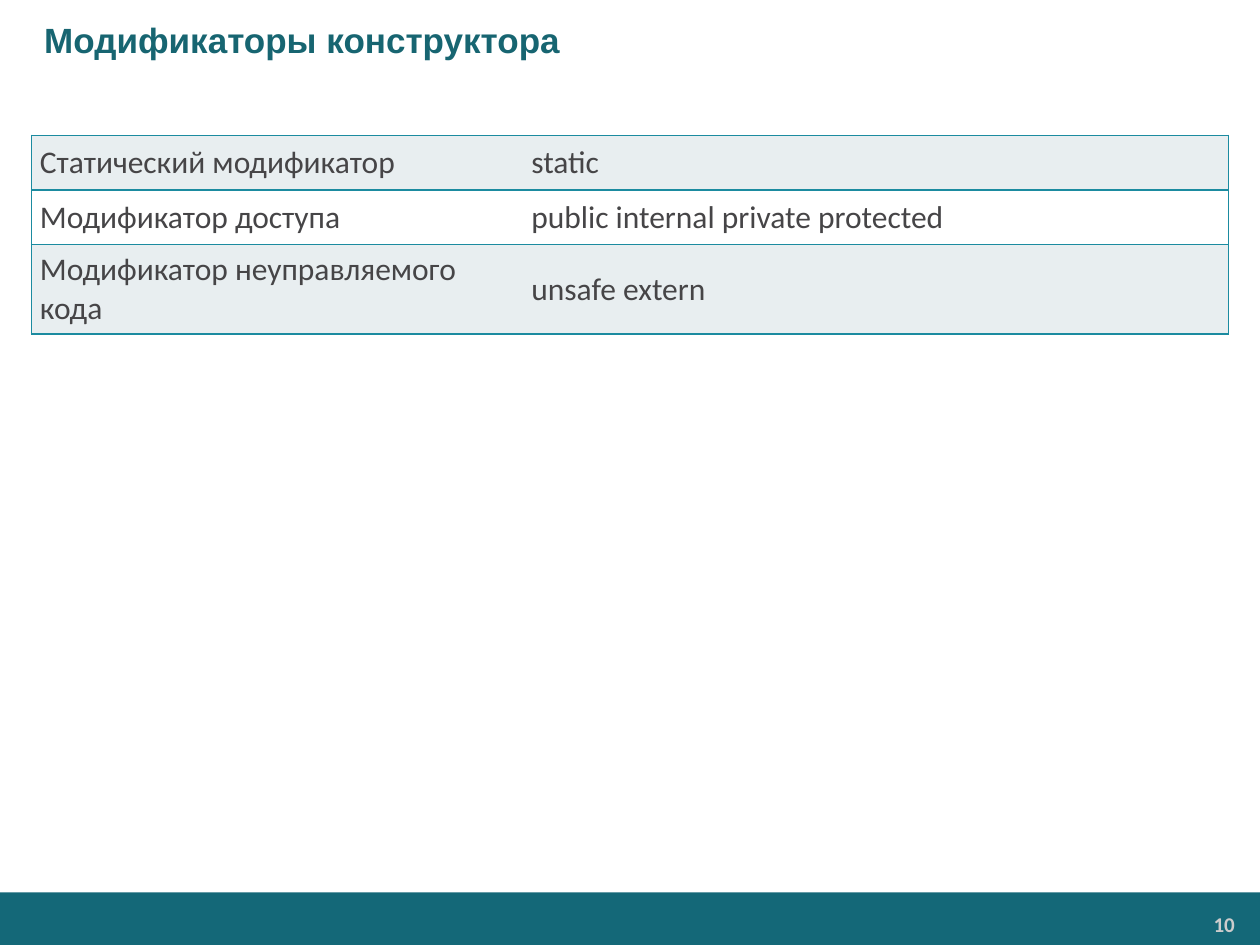
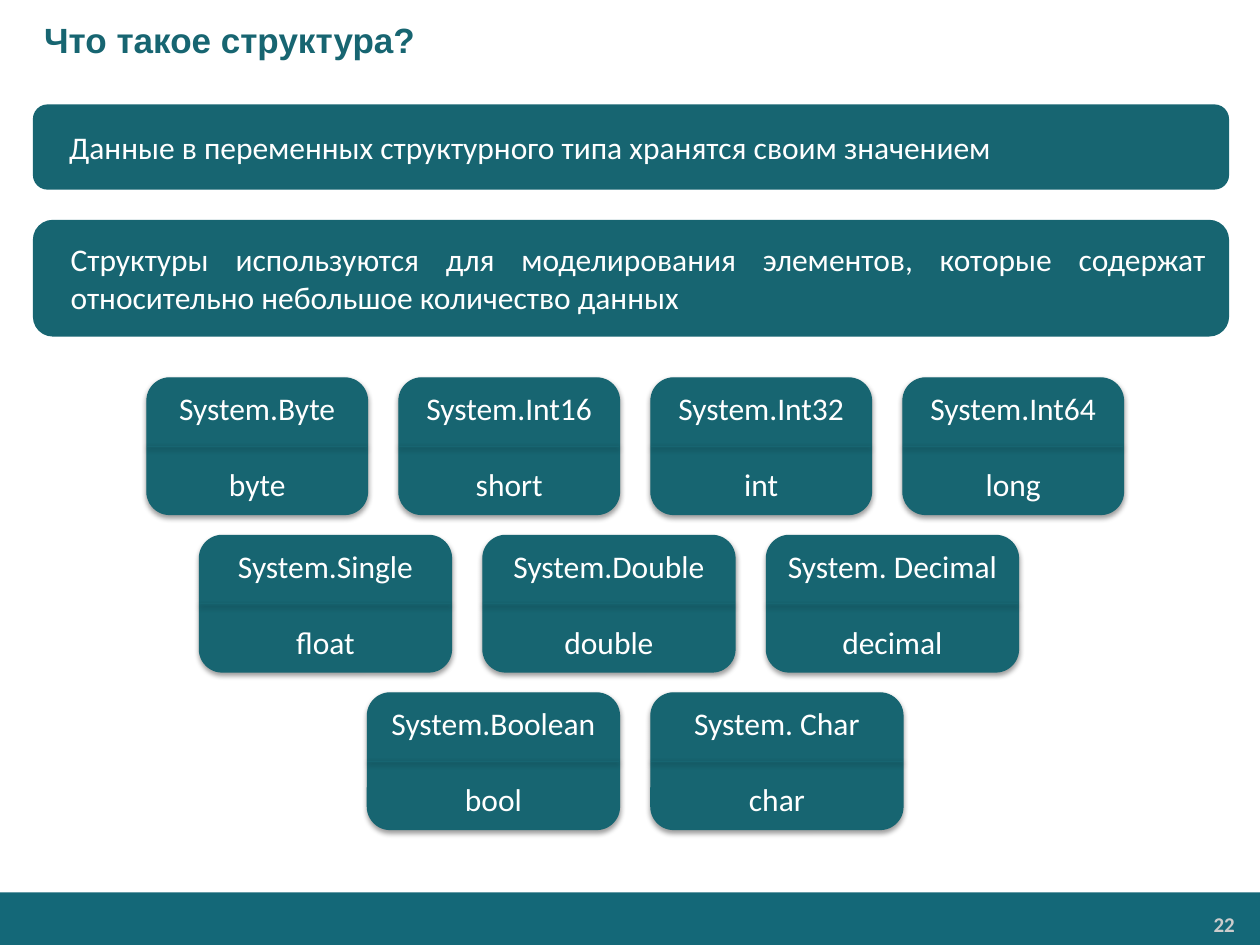
from lxml import etree
from pptx import Presentation
from pptx.dml.color import RGBColor
from pptx.enum import shapes, text
from pptx.oxml import ns
from pptx import util as u

EMU_PER_PX = 7620
TEAL, BAND, BORDER = "176571", "146878", "1B8BA0"
WHITE, STRIPE, INK, NUMBER = "FFFFFF", "E8EEF0", "464547", "CCCCCC"
LEFT, CENTER = text.PP_ALIGN.LEFT, text.PP_ALIGN.CENTER
RIGHT, JUSTIFY = text.PP_ALIGN.RIGHT, text.PP_ALIGN.JUSTIFY


def px(n):
    return u.Emu(n * EMU_PER_PX)


def box(*lengths):
    return [px(n) for n in lengths]


def rgb(value):
    return RGBColor.from_string(value)


def sub(parent, tag, **attrs):
    return etree.SubElement(parent, ns.qn(tag), {k: str(v) for k, v in attrs.items()})


def set_frame(tf, insets=(12, 6), anchor=text.MSO_ANCHOR.MIDDLE):
    tf.word_wrap = True
    tf.auto_size = text.MSO_AUTO_SIZE.NONE
    tf.vertical_anchor = anchor
    tf.margin_left = tf.margin_right = px(insets[0])
    tf.margin_top = tf.margin_bottom = px(insets[1])


def write(p, words, color, size=18, font="Calibri", bold=False, align=LEFT, indent=0):
    p.alignment = align
    if indent:
        pPr = p._p.get_or_add_pPr()
        pPr.set("marL", str(px(indent)))
        pPr.set("indent", "0")
    r = p.add_run()
    r.text = words
    r.font.name, r.font.size, r.font.bold = font, u.Pt(size), bold
    r.font.color.rgb = rgb(color)


def add_shadow(sp):
    effects = sub(sp._element.spPr, "a:effectLst")
    shadow = sub(effects, "a:outerShdw", blurRad=u.Pt(3.1), dist=u.Pt(1.6),
                 dir=5400000, rotWithShape=0)
    sub(sub(shadow, "a:srgbClr", val="000000"), "a:alpha", val=38000)


def set_line(sp):
    sp.line.color.rgb = rgb(TEAL)
    sp.line.width = u.Pt(0.75)


def add_panel(parent, x, y, w, h):
    sp = parent.add_shape(shapes.MSO_SHAPE.ROUNDED_RECTANGLE, *box(x, y, w, h))
    sp.fill.solid()
    sp.fill.fore_color.rgb = rgb(TEAL)
    set_line(sp)
    return sp


def add_base(prs, title, number):
    s = prs.slides.add_slide(prs.slide_layouts[5])
    sp = s.shapes.add_shape(shapes.MSO_SHAPE.RECTANGLE, *box(0, 850, 1200, 50))
    sp.shadow.inherit = False
    sp.fill.solid()
    sp.fill.fore_color.rgb = rgb(BAND)
    sp.line.fill.background()

    tf = s.shapes.add_textbox(*box(988, 863, 196, 34)).text_frame
    set_frame(tf, (8, 5), text.MSO_ANCHOR.TOP)
    write(tf.paragraphs[0], number, NUMBER, 12, bold=True, align=RIGHT)

    sp = s.shapes.title
    sp.left, sp.top, sp.width, sp.height = box(0, 0, 1200, 75)
    set_frame(sp.text_frame)
    write(sp.text_frame.paragraphs[0], title, TEAL, 20, "Arial", True, indent=30)
    return s


def set_borders(cell, sides):
    tcPr = cell._tc.get_or_add_tcPr()
    for i, side in enumerate("LRTB"):
        ln = sub(tcPr, "a:ln" + side, w=u.Pt(1))
        if side in sides:
            sub(sub(ln, "a:solidFill"), "a:srgbClr", val=BORDER)
        else:
            sub(ln, "a:noFill")
        tcPr.insert(i, ln)


def add_modifier_table(s, x, y, widths, heights, rows):
    shape = s.shapes.add_table(len(rows), len(widths),
                               *box(x, y, sum(widths), sum(heights)))
    table = shape.table
    for column, w in zip(table.columns, widths):
        column.width = px(w)
    for i, (row, h) in enumerate(zip(rows, heights)):
        table.rows[i].height = px(h)
        for j, words in enumerate(row):
            cell = table.cell(i, j)
            cell.fill.solid()
            cell.fill.fore_color.rgb = rgb(WHITE if i % 2 else STRIPE)
            cell.vertical_anchor = text.MSO_ANCHOR.MIDDLE
            cell.margin_left = cell.margin_right = px(8)
            cell.margin_top = cell.margin_bottom = px(6)
            set_borders(cell, "TB" + "LR"[j])
            write(cell.text_frame.paragraphs[0], words, INK)


def add_statement(s, x, y, w, h, words):
    sp = add_panel(s.shapes, x, y, w, h)
    sp.shadow.inherit = False
    set_frame(sp.text_frame, (16, 7))
    write(sp.text_frame.paragraphs[0], words, WHITE, align=JUSTIFY, indent=14)


def add_type_card(s, x, y, w, h, type_name, keyword):
    group = s.shapes.add_group_shape().shapes
    sp = add_panel(group, x, y, w, h)
    add_shadow(sp)
    tf = sp.text_frame
    set_frame(tf)
    write(tf.paragraphs[0], type_name, WHITE, align=CENTER)
    p = tf.add_paragraph()
    p.space_before = u.Pt(22)
    write(p, keyword, WHITE, align=CENTER)

    middle = y + h // 2
    divider = group.add_connector(shapes.MSO_CONNECTOR.STRAIGHT,
                                  *box(x, middle, x + w, middle))
    set_line(divider)
    add_shadow(divider)


def build_modifiers(prs):
    s = add_base(prs, "Модификаторы конструктора", "10")
    add_modifier_table(s, 30, 129, (468, 672), (52, 52, 85), [
        ("Статический модификатор", "static"),
        ("Модификатор доступа", "public internal private protected"),
        ("Модификатор неуправляемого кода", "unsafe extern"),
    ])


def build_structures(prs):
    s = add_base(prs, "Что такое структура?", "22")
    add_statement(s, 32, 100, 1138, 80,
                  "Данные в переменных структурного типа хранятся своим значением")
    add_statement(s, 32, 210, 1138, 110,
                  "Структуры используются для моделирования элементов, которые "
                  "содержат относительно небольшое количество данных")
    card_rows = [
        (140, 210, [("System.Byte", "byte"), ("System.Int16", "short"),
                    ("System.Int32", "int"), ("System.Int64", "long")]),
        (190, 240, [("System.Single", "float"), ("System.Double", "double"),
                    ("System. Decimal", "decimal")]),
        (350, 240, [("System.Boolean", "bool"), ("System. Char", "char")]),
    ]
    for i, (x, w, cards) in enumerate(card_rows):
        for j, (type_name, keyword) in enumerate(cards):
            add_type_card(s, x + j * (w + 30), 360 + 150 * i, w, 130, type_name, keyword)


def main():
    prs = Presentation()
    prs.slide_width, prs.slide_height = box(1200, 900)
    build_modifiers(prs)
    build_structures(prs)
    prs.save("out.pptx")


if __name__ == "__main__":
    main()
